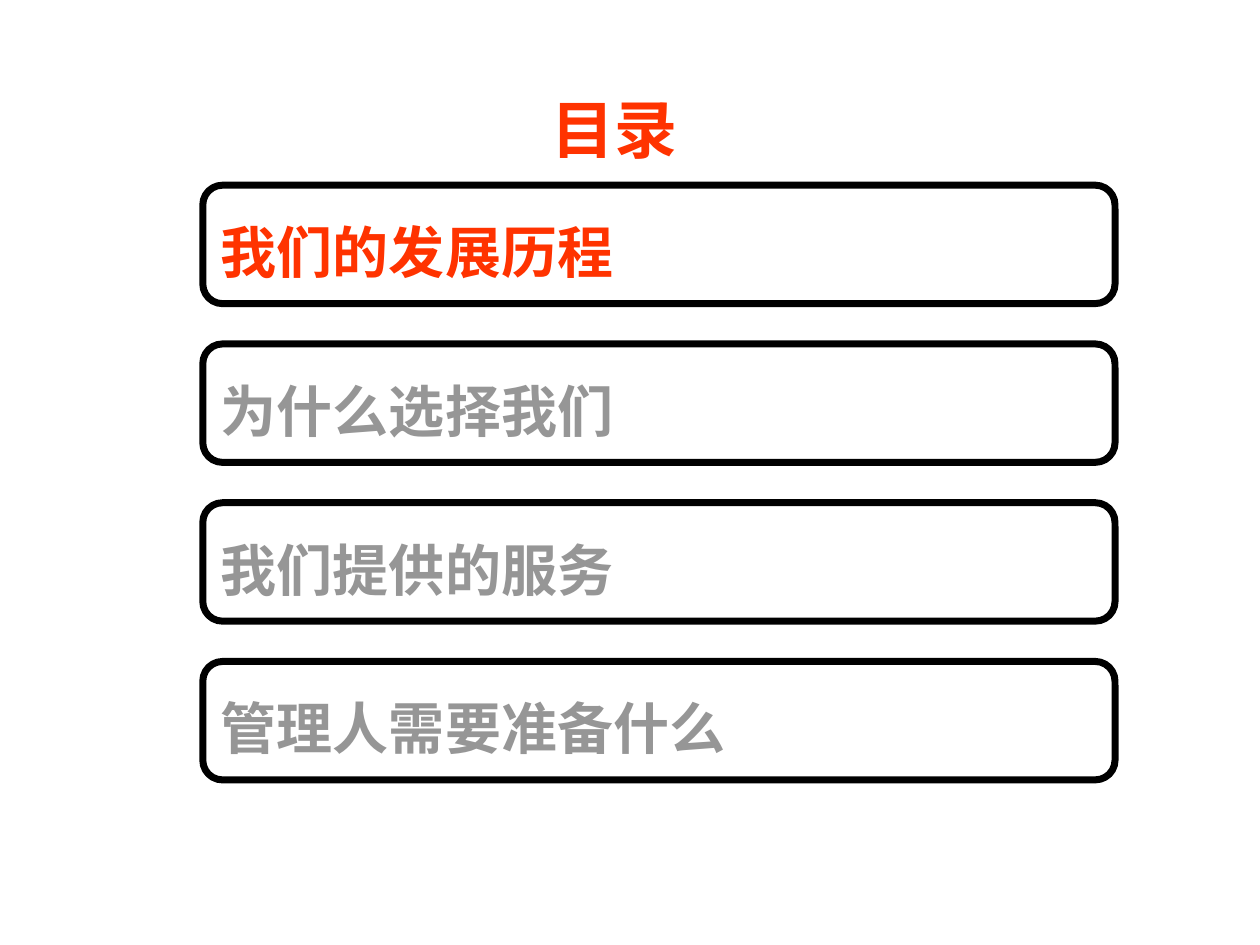
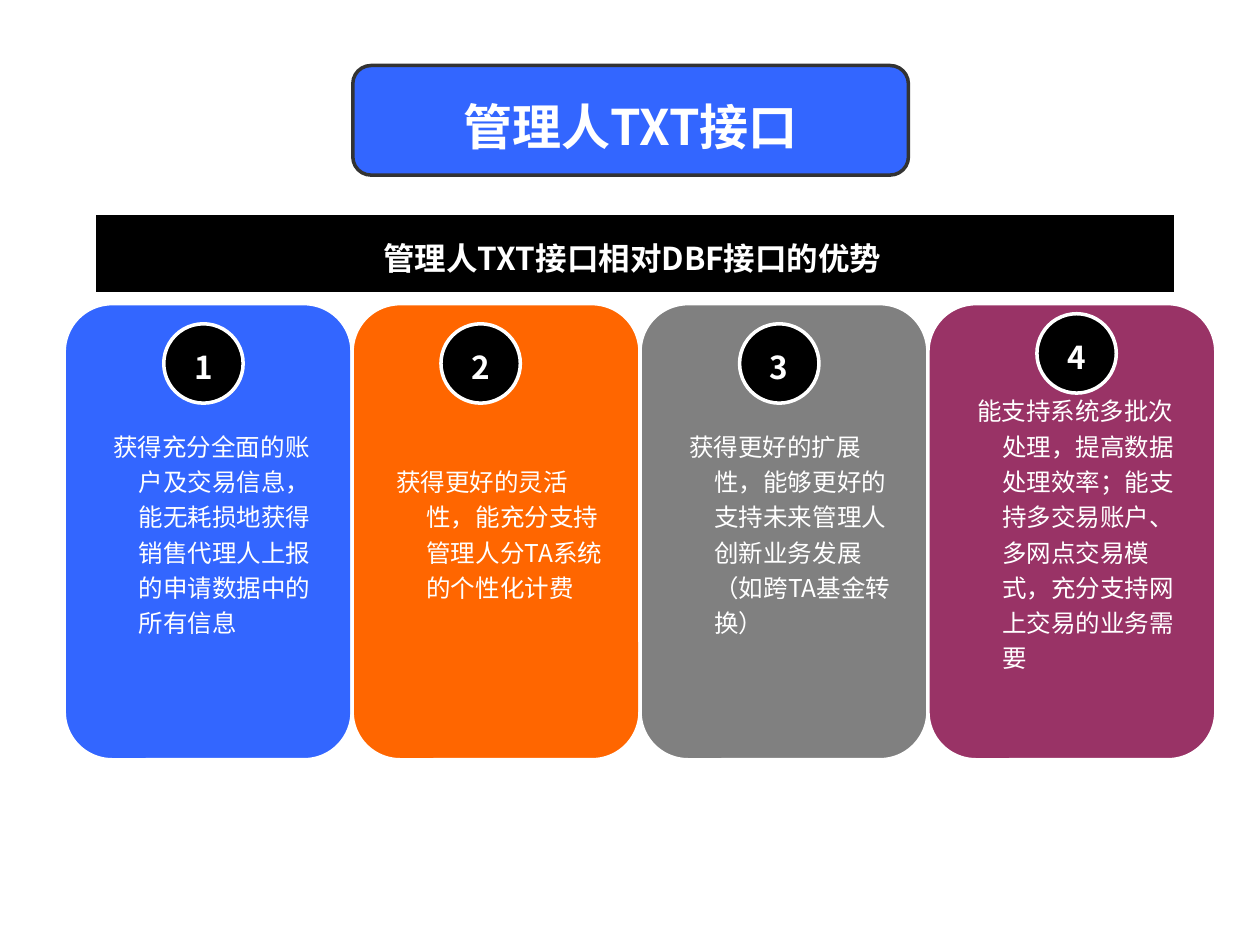
from lxml import etree
from pptx import Presentation
from pptx.dml.color import RGBColor
from pptx.enum import shapes, text
from pptx.oxml import ns
from pptx.util import Inches, Pt

BLACK = RGBColor(0x00, 0x00, 0x00)
WHITE = RGBColor(0xFF, 0xFF, 0xFF)
RED = RGBColor(0xFF, 0x33, 0x00)
MUTED = RGBColor(0x96, 0x96, 0x96)
CHARCOAL = RGBColor(0x33, 0x33, 0x33)
BLUE = RGBColor(0x33, 0x66, 0xFF)
ORANGE = RGBColor(0xFF, 0x66, 0x00)
GRAY = RGBColor(0x80, 0x80, 0x80)
PLUM = RGBColor(0x99, 0x33, 0x66)

FONT = "Noto Sans CJK SC"
TITLE_TOP, TITLE_HEIGHT = 0.52, 0.87
ROUND = shapes.MSO_SHAPE.ROUNDED_RECTANGLE
CENTER, LEFT = text.PP_ALIGN.CENTER, text.PP_ALIGN.LEFT

AGENDA = ["我们的发展历程", "为什么选择我们", "我们提供的服务", "管理人需要准备什么"]
CURRENT_TOPIC = 0

ADVANTAGES = [
    (BLUE, 0.2, (1.3, 2.57),
     "获得充分全面的账户及交易信息，能无耗损地获得销售代理人上报的申请数据中的所有信息"),
    (ORANGE, 0.24, (3.5, 2.57),
     "获得更好的灵活性，能充分支持管理人分TA系统的个性化计费"),
    (GRAY, 0.2, (5.87, 2.57),
     "获得更好的扩展性，能够更好的支持未来管理人创新业务发展（如跨TA基金转换）"),
    (PLUM, 0.2, (8.23, 2.49),
     "能支持系统多批次处理，提高数据处理效率；能支持多交易账户、"
     "多网点交易模式，充分支持网上交易的业务需要"),
]


def write(box, words, *, size, color=WHITE, bold=True, align=CENTER,
          spacing=1.8, margin=0, hanging=0, right_inset=0.1):
    frame = box.text_frame
    frame.word_wrap = True
    frame.margin_right = Inches(right_inset)
    frame.vertical_anchor = text.MSO_ANCHOR.MIDDLE
    para = frame.paragraphs[0]
    para.alignment = align
    para.line_spacing = 1.2
    para.space_before = para.space_after = Pt(spacing)
    properties = para._p.get_or_add_pPr()
    properties.set("hangingPunct", "0")
    properties.set("marL", str(Inches(margin)))
    properties.set("indent", str(-Inches(hanging)))
    span = para.add_run()
    span.text = words
    span.font.size = Pt(size)
    span.font.bold = bold
    span.font.color.rgb = color
    span.font.name = FONT
    east_asian = etree.SubElement(span._r.get_or_add_rPr(), ns.qn("a:ea"))
    east_asian.set("typeface", FONT)


class Deck:
    def __init__(self):
        self.file = Presentation()
        self.file.slide_width = Inches(10)
        self.file.slide_height = Inches(7.5)
        self.page = None

    def add_page(self):
        self.page = self.file.slides.add_slide(self.file.slide_layouts[6])

    def label(self, left, top, width, height, words, **style):
        box = self.page.shapes.add_textbox(
            Inches(left), Inches(top), Inches(width), Inches(height))
        write(box, words, **style)

    def shape(self, kind, left, top, width, height, words, *,
              fill=None, line=WHITE, weight=2, **style):
        box = self.page.shapes.add_shape(
            kind, Inches(left), Inches(top), Inches(width), Inches(height))
        box.shadow.inherit = False
        if fill is None:
            box.fill.background()
        else:
            box.fill.solid()
            box.fill.fore_color.rgb = fill
        box.line.color.rgb = line
        box.line.width = Pt(weight)
        write(box, words, **style)

    def topic(self, index, words):
        self.shape(ROUND, 1.61, 1.47 + 1.26 * index, 7.24, 0.94, words,
                   line=BLACK, weight=4, size=32, spacing=4, align=LEFT,
                   color=RED if index == CURRENT_TOPIC else MUTED)

    def panel(self, index, words, fill, hanging):
        width = 9.14 / len(ADVANTAGES)
        self.shape(ROUND, 0.51 + width * index, 2.41, width, 3.62, words,
                   fill=fill, size=14, bold=False, align=LEFT,
                   margin=0.38, hanging=hanging)

    def badge(self, left, top, number):
        self.shape(shapes.MSO_SHAPE.OVAL, left, top, 0.63, 0.63, str(number),
                   fill=BLACK, size=18, spacing=2.2)


def add_agenda(deck):
    deck.add_page()
    deck.label(4.13, TITLE_TOP, 1.5, TITLE_HEIGHT, "目录",
               size=36, color=RED, spacing=4.5)
    for index, words in enumerate(AGENDA):
        deck.topic(index, words)


def add_advantages(deck):
    deck.add_page()
    deck.shape(ROUND, 2.8, TITLE_TOP, 4.41, TITLE_HEIGHT, "管理人TXT接口",
               fill=BLUE, line=CHARCOAL, size=28, spacing=3.5)
    deck.shape(shapes.MSO_SHAPE.RECTANGLE, 0.75, 1.7, 8.58, 0.63,
               "管理人TXT接口相对DBF接口的优势", fill=BLACK, weight=1.5, size=18,
               right_inset=0.14)
    for index, (fill, hanging, _, words) in enumerate(ADVANTAGES):
        deck.panel(index, words, fill, hanging)
    for number, (_, _, (left, top), _) in enumerate(ADVANTAGES, 1):
        deck.badge(left, top, number)


def main():
    deck = Deck()
    add_agenda(deck)
    add_advantages(deck)
    deck.file.save("out.pptx")


if __name__ == "__main__":
    main()
